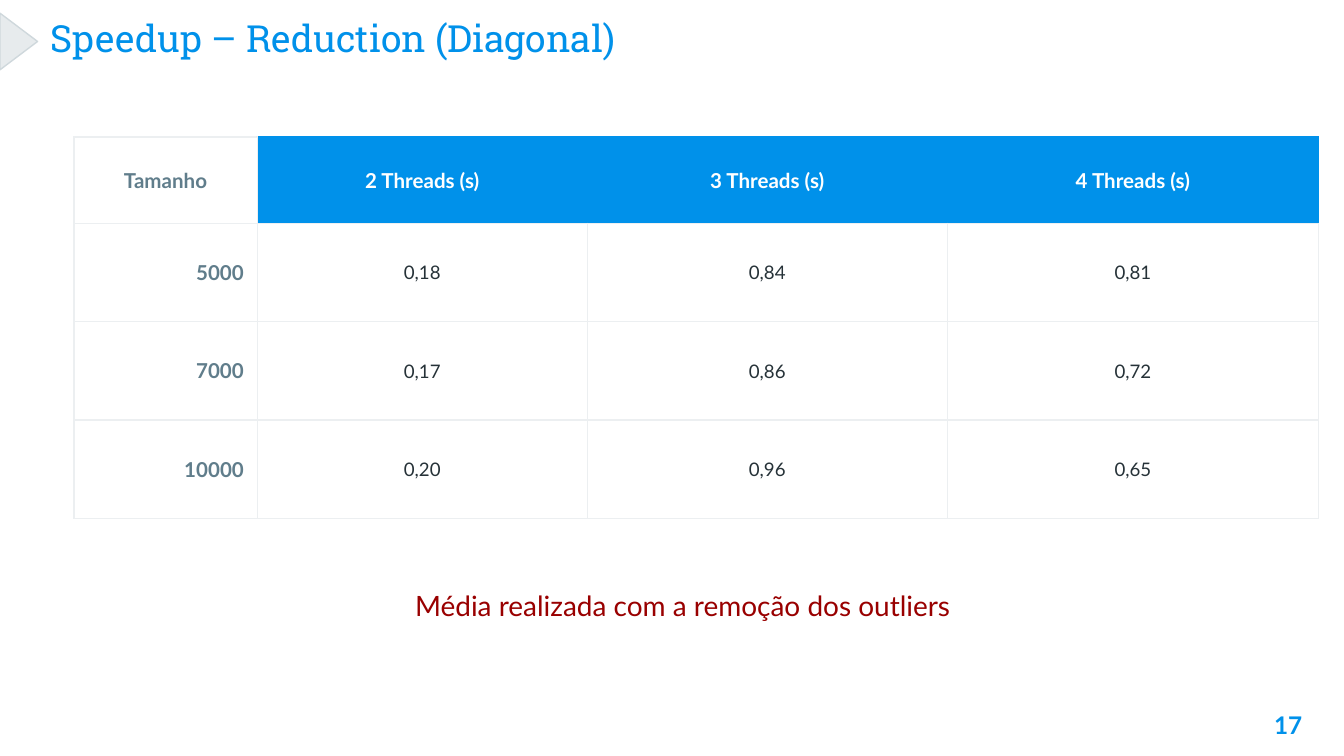
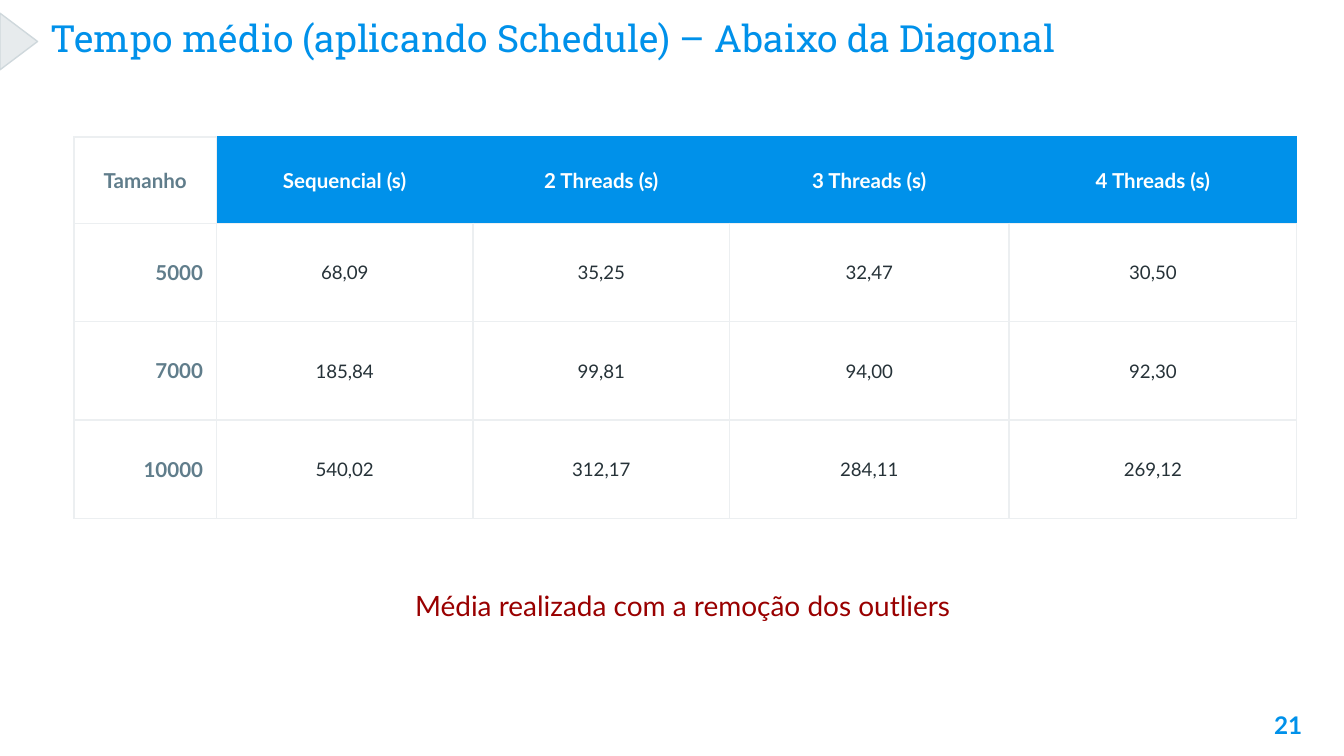
from lxml import etree
from pptx import Presentation
from pptx.dml.color import RGBColor
from pptx.enum.shapes import MSO_SHAPE
from pptx.enum.text import MSO_ANCHOR, MSO_AUTO_SIZE, PP_ALIGN
from pptx.oxml.ns import qn
from pptx.util import Cm, Pt

BLUE = RGBColor(0x00, 0x91, 0xEA)
WHITE = RGBColor(0xFF, 0xFF, 0xFF)
SLATE = RGBColor(0x60, 0x7D, 0x8B)
DARK = RGBColor(0x26, 0x32, 0x38)
PALE = RGBColor(0xEC, 0xEF, 0xF1)
GREY = RGBColor(0xCF, 0xD8, 0xDC)
RED = RGBColor(0x99, 0x00, 0x00)

LEFT, CENTER, RIGHT = PP_ALIGN.LEFT, PP_ALIGN.CENTER, PP_ALIGN.RIGHT
TOP, MIDDLE, BOTTOM = MSO_ANCHOR.TOP, MSO_ANCHOR.MIDDLE, MSO_ANCHOR.BOTTOM
NO_FIT = MSO_AUTO_SIZE.NONE
TRIANGLE = MSO_SHAPE.ISOSCELES_TRIANGLE

BODY, HEAD = "Lato", "Roboto Slab"
INSET = Cm(0.25)
EDGE = Pt(0.75)
TITLE_ONLY = 5
HEAD_H, ROW_H = 1.63, 1.86
NOTE = "Média realizada com a remoção dos outliers"


def style(par, size, color, align, bold=False, face=BODY):
    par.alignment = align
    font = par.font
    font.name, font.size, font.bold = face, Pt(size), bold
    font.color.rgb = color


def inset(item):
    item.margin_left = item.margin_right = INSET
    item.margin_top = item.margin_bottom = INSET


def fill_text(shape, text, anchor):
    frame = shape.text_frame
    frame.text = text
    frame.word_wrap = True
    frame.auto_size = NO_FIT
    frame.vertical_anchor = anchor
    inset(frame)
    return frame.paragraphs[0]


def add_text(slide, text, box, size, color, align, bold=False):
    shape = slide.shapes.add_textbox(*map(Cm, box))
    par = fill_text(shape, text, TOP)
    style(par, size, color, align, bold)
    return par


def set_title(slide, text):
    title = slide.shapes.title
    title.left, title.top = Cm(0.71), Cm(0.25)
    title.width, title.height = Cm(21.59), Cm(1.14)
    style(fill_text(title, text, BOTTOM), 20, BLUE, LEFT, face=HEAD)


def add_mark(slide):
    mark = slide.shapes.add_shape(TRIANGLE, Cm(-0.18), Cm(0.43), Cm(1.07), Cm(0.71))
    mark.rotation = 90
    mark.shadow.inherit = False
    mark.fill.solid()
    mark.fill.fore_color.rgb = GREY
    color = mark.fill._xPr.find(qn("a:solidFill"))[0]
    etree.SubElement(color, qn("a:alpha"), val="49000")
    mark.line.color.rgb = GREY
    mark.line.width = EDGE


def set_edges(cell, **edges):
    props = cell._tc.get_or_add_tcPr()
    for side in "LRTB":
        line = etree.SubElement(props, qn(f"a:ln{side}"), w=str(EDGE))
        fill = etree.SubElement(line, qn("a:solidFill"))
        color = edges.get(side, PALE)
        etree.SubElement(fill, qn("a:srgbClr"), val=str(color))


def set_cell(cell, text, row, col, last):
    cell.text = text
    cell.vertical_anchor = MIDDLE
    inset(cell)
    par = cell.text_frame.paragraphs[0]
    if row == 0 and col > 0:
        style(par, 11, WHITE, CENTER, True)
        inner = {"T": BLUE, "R": BLUE}
        if col > 1:
            inner["L"] = BLUE
        set_edges(cell, **inner)
        cell.fill.solid()
        cell.fill.fore_color.rgb = BLUE
        return
    if col == 0:
        style(par, 11, SLATE, RIGHT if row else CENTER, True)
    else:
        style(par, 10, DARK, CENTER)
    set_edges(cell)
    cell.fill.background()


def add_grid(slide, rows, widths):
    high = HEAD_H + ROW_H * (len(rows) - 1)
    frame = slide.shapes.add_table(
        len(rows), len(widths), Cm(1.4), Cm(2.59), Cm(sum(widths)), Cm(high))
    table = frame.table
    table.first_row = table.horz_banding = False
    for col, width in zip(table.columns, widths):
        col.width = Cm(width)
    for i, row in enumerate(rows):
        table.rows[i].height = Cm(ROW_H if i else HEAD_H)
        for j, text in enumerate(row):
            set_cell(table.cell(i, j), text, i, j, len(row) - 1)


def add_page(deck, number, title, rows, widths):
    slide = deck.slides.add_slide(deck.slide_layouts[TITLE_ONLY])
    set_title(slide, title)
    add_text(slide, str(number), (23.34, 13.18, 1.52, 1.09), 13, BLUE, RIGHT, True)
    add_grid(slide, rows, widths)
    add_mark(slide)
    note = add_text(slide, NOTE, (3.56, 10.87, 18.69, 0.91), 15, RED, CENTER)
    note.space_before = Pt(6)


def main():
    deck = Presentation()
    deck.slide_width, deck.slide_height = Cm(25.4), Cm(14.29)
    threads = [f"{n} Threads (s)" for n in (2, 3, 4)]
    add_page(deck, 17, "Speedup – Reduction (Diagonal)", [
        ["Tamanho", *threads],
        ["5000", "0,18", "0,84", "0,81"],
        ["7000", "0,17", "0,86", "0,72"],
        ["10000", "0,20", "0,96", "0,65"],
    ], [3.46, 6.24, 6.8, 7.02])
    add_page(deck, 21, "Tempo médio (aplicando Schedule) – Abaixo da Diagonal", [
        ["Tamanho", "Sequencial (s)", *threads],
        ["5000", "68,09", "35,25", "32,47", "30,50"],
        ["7000", "185,84", "99,81", "94,00", "92,30"],
        ["10000", "540,02", "312,17", "284,11", "269,12"],
    ], [2.69, 4.85, 4.85, 5.28, 5.44])
    deck.save("out.pptx")


if __name__ == "__main__":
    main()
